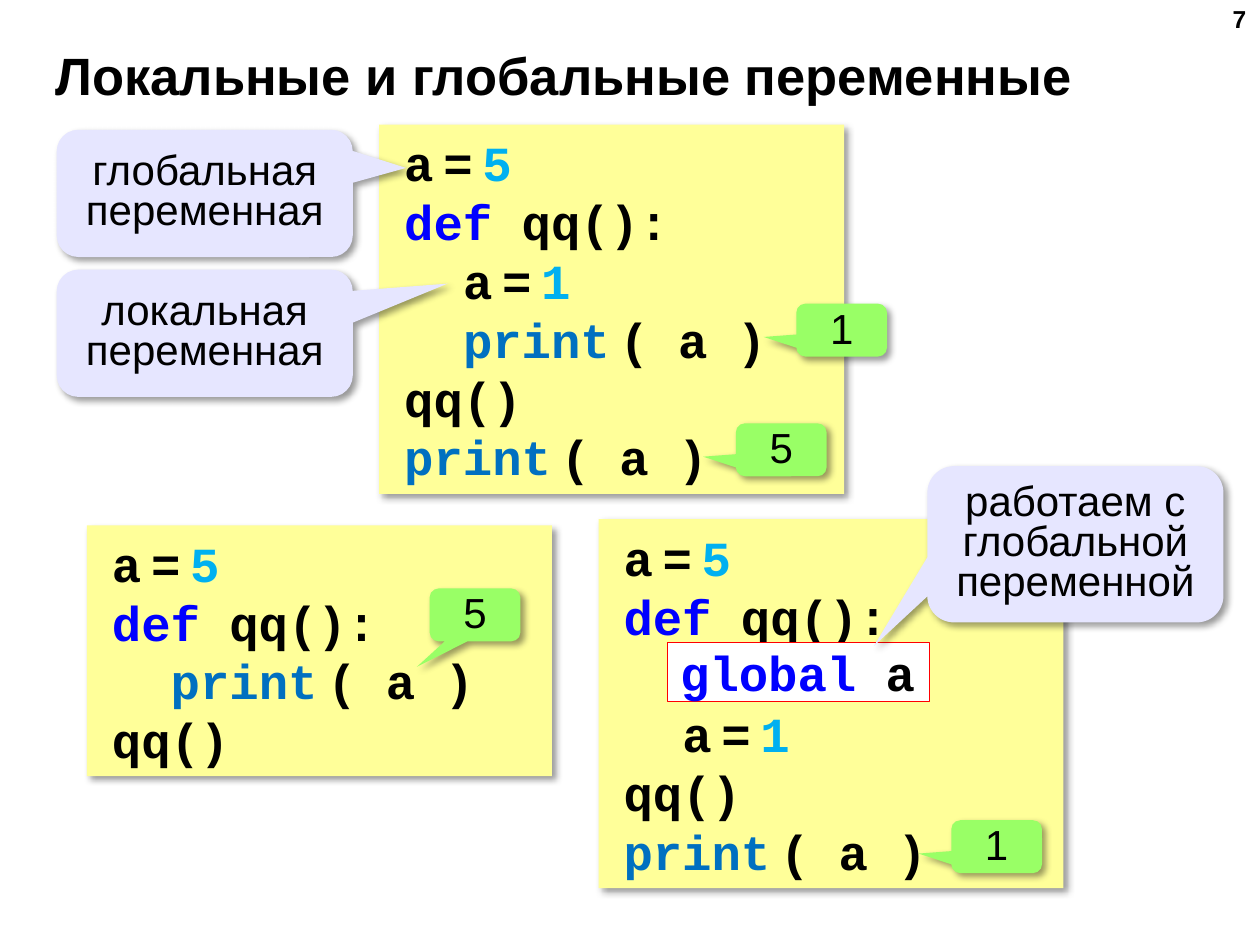
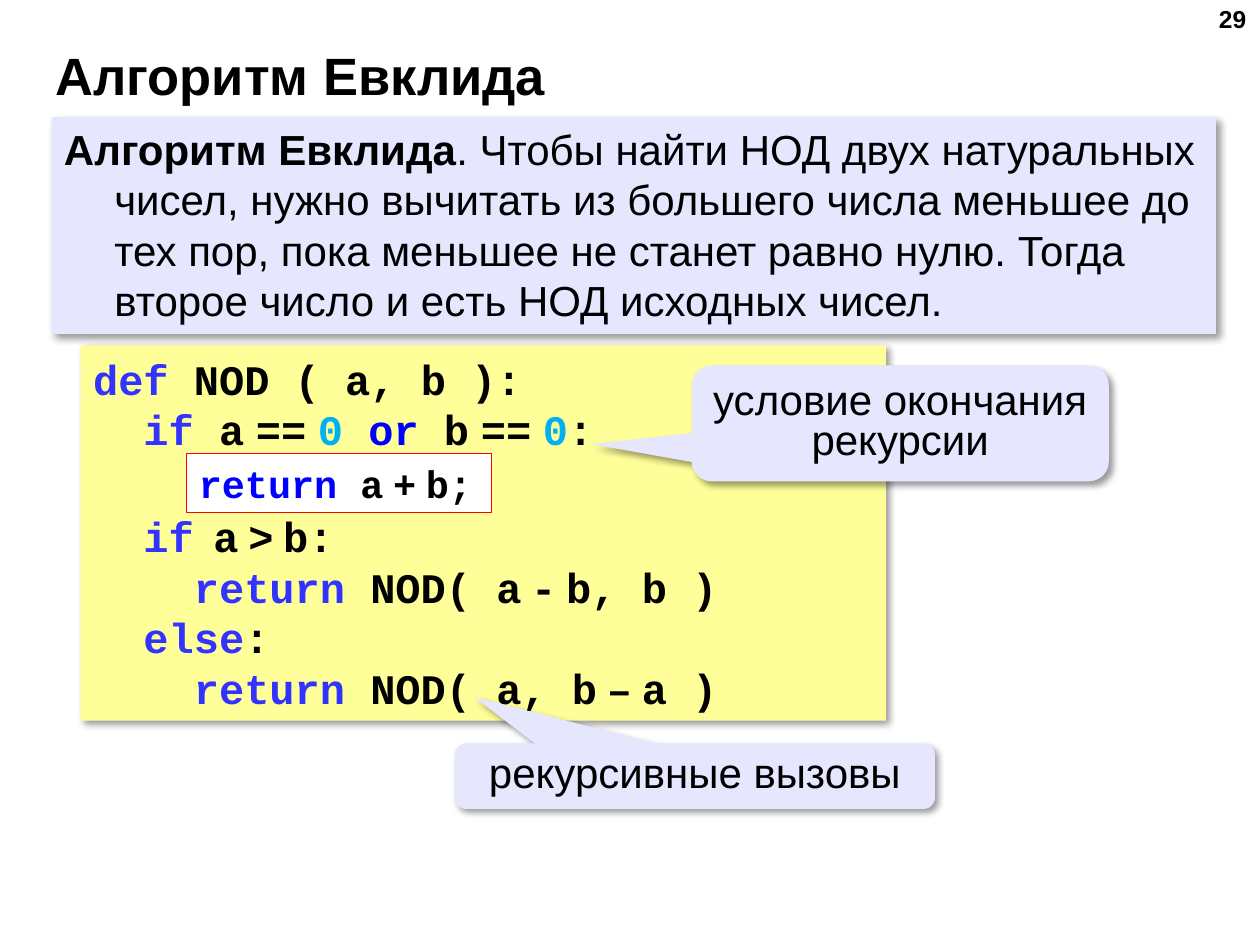
from lxml import etree
from pptx import Presentation
from pptx import util as u
from pptx.dml import color
from pptx.enum import shapes, text
from pptx.oxml import ns

BLACK, WHITE, RED = "000000", "FFFFFF", "FF0000"
YELLOW, LILAC, GREEN = "FFFF99", "E6E6FF", "99FF66"
KEYWORD, SOFT_KEYWORD, BUILTIN, NUMBER = "0000FF", "3333FF", "0070C0", "00B0F0"
SANS, MONO = "Arial", "Courier New"
LINE_FACTOR = 1.2
MONO_WIDTH = 0.6
NARROW_GAP = "~"

ASSIGN_FIVE = (0, [("a~=~", BLACK), ("5", NUMBER)])
ASSIGN_ONE = (1, [("a~=~", BLACK), ("1", NUMBER)])
DEFINE = (0, [("def ", KEYWORD), ("qq():", BLACK)])
CALL = (0, [("qq()", BLACK)])
PRINT = [("print~", BUILTIN), ("( a )", BLACK)]


def rgb(value):
    return color.RGBColor.from_string(value)


def add_span(para, words, size, font=SANS, ink=BLACK, bold=False):
    span = para.add_run()
    span.text = words
    span.font.size = u.Pt(size)
    span.font.name = font
    span.font.bold = bold
    span.font.color.rgb = rgb(ink)


def add_code_spans(para, spans, size, gap=20):
    for words, ink in spans:
        for index, piece in enumerate(words.split(NARROW_GAP)):
            if index:
                add_span(para, " ", gap, ink=ink, bold=True)
            if piece:
                add_span(para, piece, size, MONO, ink, True)


def next_para(frame, index):
    return frame.add_paragraph() if index else frame.paragraphs[0]


def set_indent(para, left, first=0):
    props = para._p.get_or_add_pPr()
    props.set("marL", str(u.Inches(left)))
    props.set("indent", str(u.Inches(first)))


def add_shadow(box):
    effects = etree.SubElement(box._element.spPr, ns.qn("a:effectLst"))
    shadow = etree.SubElement(effects, ns.qn("a:outerShdw"), blurRad=str(u.Pt(4)),
                              dist=str(u.Pt(3)), dir="2700000", algn="tl", rotWithShape="0")
    ink = etree.SubElement(shadow, ns.qn("a:srgbClr"), val=BLACK)
    etree.SubElement(ink, ns.qn("a:alpha"), val="40000")


def add_box(page, kind, place, fill, line=None):
    box = page.shapes.add_shape(kind, *map(u.Inches, place))
    box.fill.solid()
    box.fill.fore_color.rgb = rgb(fill)
    if line:
        box.shadow.inherit = False
        box.line.color.rgb = rgb(line)
        box.line.width = u.Pt(0.75)
    else:
        box.line.fill.background()
        add_shadow(box)
    frame = box.text_frame
    frame.word_wrap = True
    frame.vertical_anchor = text.MSO_ANCHOR.MIDDLE
    frame.margin_left = frame.margin_right = u.Inches(0.1)
    frame.margin_top = frame.margin_bottom = u.Inches(0.05)
    return box


def add_code(page, place, lines, size, margin=0, gap=20, breaks=None):
    frame = add_box(page, shapes.MSO_SHAPE.RECTANGLE, place, YELLOW).text_frame
    indent_step = 2 * MONO_WIDTH * size / 72
    for index, (level, spans) in enumerate(lines):
        para = next_para(frame, index)
        para.alignment = text.PP_ALIGN.LEFT
        para.line_spacing = u.Pt(LINE_FACTOR * size)
        para.space_before = u.Pt((breaks or {}).get(index, 0))
        set_indent(para, margin + level * indent_step)
        add_code_spans(para, spans, size, gap if "==" in str(spans) else 20)


def add_highlight(page, place, spans, size):
    frame = add_box(page, shapes.MSO_SHAPE.RECTANGLE, place, WHITE, RED).text_frame
    frame.word_wrap = False
    frame.margin_top = frame.margin_bottom = 0
    para = frame.paragraphs[0]
    para.alignment = text.PP_ALIGN.LEFT
    para.line_spacing = u.Pt(LINE_FACTOR * size)
    add_code_spans(para, spans, size)


def add_callout(page, place, tip, lines, fill=LILAC):
    box = add_box(page, shapes.MSO_SHAPE.ROUNDED_RECTANGULAR_CALLOUT, place, fill)
    for index, value in enumerate((*tip, 0.17)):
        box.adjustments[index] = value
    for index, words in enumerate(lines):
        para = next_para(box.text_frame, index)
        para.alignment = text.PP_ALIGN.CENTER
        para.line_spacing = 0.8
        add_span(para, words, 24)
    return box


def add_output(page, left, top, value, tip=(-0.86, 0.13)):
    box = add_callout(page, (left, top, 0.72, 0.42), tip, [value], GREEN)
    box.text_frame.margin_top = u.Inches(0.08)


def add_definition(page, place, term, words):
    frame = add_box(page, shapes.MSO_SHAPE.RECTANGLE, place, LILAC).text_frame
    frame.vertical_anchor = text.MSO_ANCHOR.TOP
    para = frame.paragraphs[0]
    para.alignment = text.PP_ALIGN.LEFT
    para.line_spacing = u.Pt(LINE_FACTOR * 24)
    set_indent(para, 0.4, -0.4)
    add_span(para, term, 24, bold=True)
    add_span(para, words, 24)


def add_page(deck, heading, number):
    page = deck.slides.add_slide(deck.slide_layouts[5])
    title = page.shapes.title
    title.left, title.top, title.width, title.height = map(u.Inches, (0.34, 0.33, 9.16, 0.52))
    title.text_frame.vertical_anchor = text.MSO_ANCHOR.MIDDLE
    para = title.text_frame.paragraphs[0]
    para.alignment = text.PP_ALIGN.LEFT
    add_span(para, heading, 30, bold=True)
    box = page.shapes.add_textbox(*map(u.Inches, (7.66, -0.02, 2.33, 0.52)))
    box.text_frame.word_wrap = True
    para = box.text_frame.paragraphs[0]
    para.alignment = text.PP_ALIGN.RIGHT
    add_span(para, number, 14, bold=True)
    return page


def build_variables(deck):
    page = add_page(deck, "Локальные и глобальные переменные", "7")
    add_code(page, (3.01, 0.99, 3.69, 2.93),
             [ASSIGN_FIVE, DEFINE, ASSIGN_ONE, (1, PRINT), CALL, (0, PRINT)], 28, 0.1)
    add_callout(page, (0.45, 1.03, 2.35, 1.01), (0.68, -0.2), ["глобальная переменная"])
    add_callout(page, (0.45, 2.14, 2.35, 1.01), (0.82, -0.39), ["локальная переменная"])
    add_output(page, 6.32, 2.41, "1")
    add_output(page, 5.84, 3.36, "5")

    add_code(page, (0.69, 4.17, 3.69, 1.99), [ASSIGN_FIVE, DEFINE, (1, PRINT), CALL], 28, 0.1)
    add_output(page, 3.41, 4.67, "5", (-0.64, 0.98))

    add_code(page, (4.75, 4.12, 3.69, 2.93),
             [ASSIGN_FIVE, DEFINE, ASSIGN_ONE, CALL, (0, PRINT)], 28, 0.1,
             breaks={2: LINE_FACTOR * 28})
    add_output(page, 7.55, 6.51, "1")
    add_highlight(page, (5.3, 5.1, 2.08, 0.47), [("global", KEYWORD), (" a", BLACK)], 28)
    add_callout(page, (7.36, 3.7, 2.35, 1.24), (-0.68, 0.65),
                ["работаем с", "глобальной переменной"])


def build_euclid(deck):
    page = add_page(deck, "Алгоритм Евклида", "29")
    add_definition(page, (0.41, 0.93, 9.24, 1.72), "Алгоритм Евклида",
                   ". Чтобы найти НОД двух натуральных чисел, нужно вычитать из большего "
                   "числа меньшее до тех пор, пока меньшее не станет равно нулю. "
                   "Тогда второе число и есть НОД исходных чисел.")
    lines = [
        (0, [("def", SOFT_KEYWORD), (" NOD ( a, b ):", BLACK)]),
        (1, [("if", SOFT_KEYWORD), (" a~==~", BLACK), ("0 ", NUMBER), ("or", KEYWORD),
             (" b~==~", BLACK), ("0", NUMBER), (":", BLACK)]),
        (1, [("if~~", SOFT_KEYWORD), ("a~>~b:", BLACK)]),
        (2, [("return", SOFT_KEYWORD), (" NOD( a~-~b, b )", BLACK)]),
        (1, [("else", SOFT_KEYWORD), (":", BLACK)]),
        (2, [("return", SOFT_KEYWORD), (" NOD( a, b~–~a )", BLACK)]),
    ]
    add_code(page, (0.64, 2.74, 6.39, 2.98), lines, 24, gap=24,
             breaks={2: LINE_FACTOR * 22 + 6})
    add_highlight(page, (1.48, 3.6, 2.42, 0.47), [("return ", KEYWORD), ("a~+~b;", BLACK)], 22)
    add_callout(page, (3.61, 5.9, 3.81, 0.52), (-0.46, -1.21), ["рекурсивные вызовы"])
    add_callout(page, (5.49, 2.9, 3.31, 0.92), (-0.74, 0.18), ["условие окончания рекурсии"])


def main():
    deck = Presentation()
    deck.slide_width, deck.slide_height = u.Inches(10), u.Inches(7.5)
    build_variables(deck)
    build_euclid(deck)
    deck.save("out.pptx")


if __name__ == "__main__":
    main()
